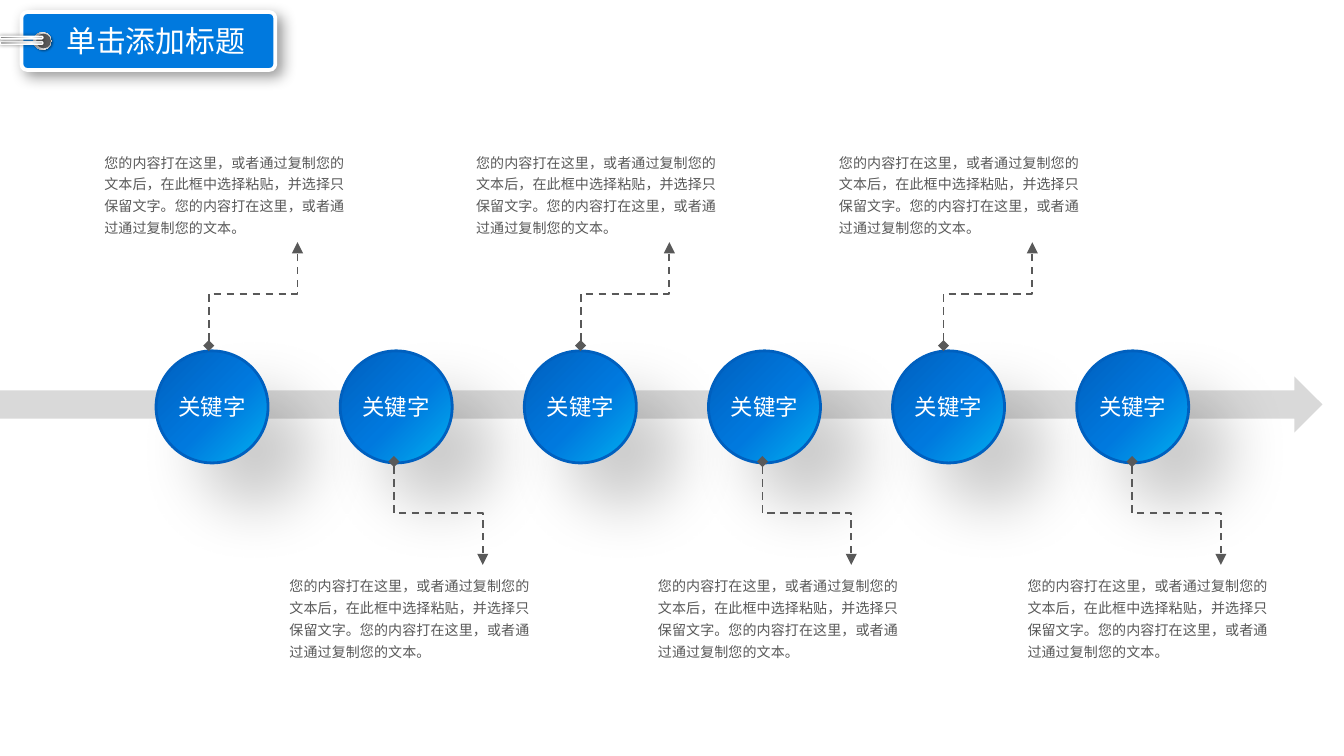
from lxml.etree import SubElement
from pptx import Presentation
from pptx.dml.color import RGBColor
from pptx.enum.dml import MSO_LINE
from pptx.enum.shapes import MSO_CONNECTOR, MSO_SHAPE
from pptx.enum.text import MSO_ANCHOR, PP_ALIGN
from pptx.oxml.ns import qn
from pptx.util import Pt

BLUE, DARK_BLUE, GRAY, WHITE = "0079DE", "0060BF", "595959", "FFFFFF"
CJK_FONT = "Noto Sans CJK SC"
BODY = ("您的内容打在这里，或者通过复制您的文本后，在此框中选择粘贴，并选择只保留文字。"
        "您的内容打在这里，或者通过通过复制您的文本。")
BALL = [(0, "00B0F0"), (45, BLUE), (100, DARK_BLUE)]
RING = [(0, WHITE), (17, "A6A6A6"), (35, "F2F2F2"), (55, "A6A6A6"), (75, "F2F2F2"), (100, "A6A6A6")]
ROD = [(0, "808080"), (23, "A6A6A6"), (52, "D9D9D9"), (74, WHITE), (100, "A6A6A6")]

presentation = Presentation()
presentation.slide_width, presentation.slide_height = Pt(720), Pt(405)
slide = presentation.slides.add_slide(presentation.slide_layouts[6])


def add_shape(kind, box, fill, angle=0, line=None, shadow=None):
    """fill: hex or gradient stops; line: hex, width; shadow: alpha, blur, distance, angle."""
    shape = slide.shapes.add_shape(kind, *map(Pt, box))
    shape.shadow.inherit = False
    properties = shape._element.spPr
    if isinstance(fill, str):
        shape.fill.solid()
        shape.fill.fore_color.rgb = RGBColor.from_string(fill)
    else:
        shape.fill.gradient()
        stops = properties.find(".//" + qn("a:gsLst"))
        for stop in list(stops):
            stops.remove(stop)
        for position, color in fill:
            stop = SubElement(stops, qn("a:gs"), pos=str(position * 1000))
            SubElement(stop, qn("a:srgbClr"), val=color)
        properties.find(".//" + qn("a:lin")).set("ang", str(angle * 60000))
    if line:
        shape.line.color.rgb = RGBColor.from_string(line[0])
        shape.line.width = Pt(line[1])
    else:
        shape.line.fill.background()
    if shadow:
        alpha, blur, distance, direction = shadow
        outer = SubElement(properties.find(qn("a:effectLst")), qn("a:outerShdw"),
                           blurRad=str(Pt(blur)), dist=str(Pt(distance)),
                           dir=str(direction * 60000), algn="tl", rotWithShape="0")
        color = SubElement(outer, qn("a:srgbClr"), val="000000")
        SubElement(color, qn("a:alpha"), val=str(alpha * 1000))
    return shape


def write(shape, text, size, color, font=CJK_FONT, align=PP_ALIGN.CENTER, spacing=None):
    shape.text_frame.word_wrap = True
    paragraph = shape.text_frame.paragraphs[0]
    paragraph.text = text
    paragraph.alignment = align
    paragraph.line_spacing = spacing
    paragraph.font.size = Pt(size)
    paragraph.font.color.rgb = RGBColor.from_string(color)
    paragraph.font.name = font
    defaults = paragraph._p.pPr.find(qn("a:defRPr"))
    SubElement(defaults, qn("a:ea"), typeface=CJK_FONT)


# Title tag with its eyelet and string
tag = add_shape(MSO_SHAPE.ROUNDED_RECTANGLE, (11.5, 6.5, 136, 31), BLUE,
                line=(WHITE, 2), shadow=(40, 8, 4, 45))
tag.adjustments[0] = 0.1
add_shape(MSO_SHAPE.OVAL, (18, 17.3, 9.4, 9.4), RING, 45, shadow=(40, 1, 1, 45)).rotation = 270
add_shape(MSO_SHAPE.OVAL, (19.4, 18, 7.9, 7.9), GRAY).rotation = 270
for top in (11.5, 8.6):
    rod = add_shape(MSO_SHAPE.ROUNDED_RECTANGLE, (10.8, top, 1.4, 23), ROD, 90,
                    line=(WHITE, 0.75), shadow=(40, 2, 0, 0))
    rod.adjustments[0] = 0.5
    rod.rotation = 270
title = slide.shapes.add_textbox(Pt(19.4), Pt(8.6), Pt(128), Pt(26.6))
write(title, "单击添加标题", 16, WHITE)

# Timeline arrow
add_shape(MSO_SHAPE.RIGHT_ARROW, (0, 201.6, 708.5, 30.2), "D9D9D9")

# Keyword balls
for index in range(6):
    ball = add_shape(MSO_SHAPE.OVAL, (83.6 + 98.64 * index, 188, 60, 60), BALL, 225,
                     line=(DARK_BLUE, 1.5), shadow=(20, 33, 32, 45))
    frame = ball.text_frame
    frame.margin_left = frame.margin_right = frame.margin_top = frame.margin_bottom = 0
    frame.vertical_anchor = MSO_ANCHOR.MIDDLE
    write(ball, "关键字", 12, WHITE, "Calibri")

# Dashed callouts, alternately above and below the arrow
RISE, RUN = 55.4, 47.6
for index, start in enumerate((111.8, 211, 311, 408.4, 505.4, 606.4)):
    above = index % 2 == 0
    # The elbow is laid flat around its centre, then turned upright
    middle_x, middle_y = start + RUN / 2, 157.5 if above else 275
    left, right = middle_x - RISE / 2, middle_x + RISE / 2
    top, bottom = middle_y - RUN / 2, middle_y + RUN / 2
    first, last = (bottom, top) if above else (top, bottom)
    connector = slide.shapes.add_connector(
        MSO_CONNECTOR.ELBOW, Pt(right), Pt(first), Pt(left), Pt(last))
    properties = connector._element.spPr
    properties.find(qn("a:xfrm")).set("rot", str((90 if above else 270) * 60000))
    connector.line.color.rgb = RGBColor.from_string(GRAY)
    connector.line.width = Pt(1)
    connector.line.dash_style = MSO_LINE.DASH
    line = properties.find(qn("a:ln"))
    SubElement(line, qn("a:headEnd"), type="diamond")
    SubElement(line, qn("a:tailEnd"), type="triangle")
    SubElement(properties, qn("a:effectLst"))

    body = slide.shapes.add_textbox(Pt(start - 63), Pt(76.3 if above else 303.3), Pt(149), Pt(54.7))
    write(body, BODY, 7.5, GRAY, align=PP_ALIGN.LEFT, spacing=1.3)

presentation.save("out.pptx")
